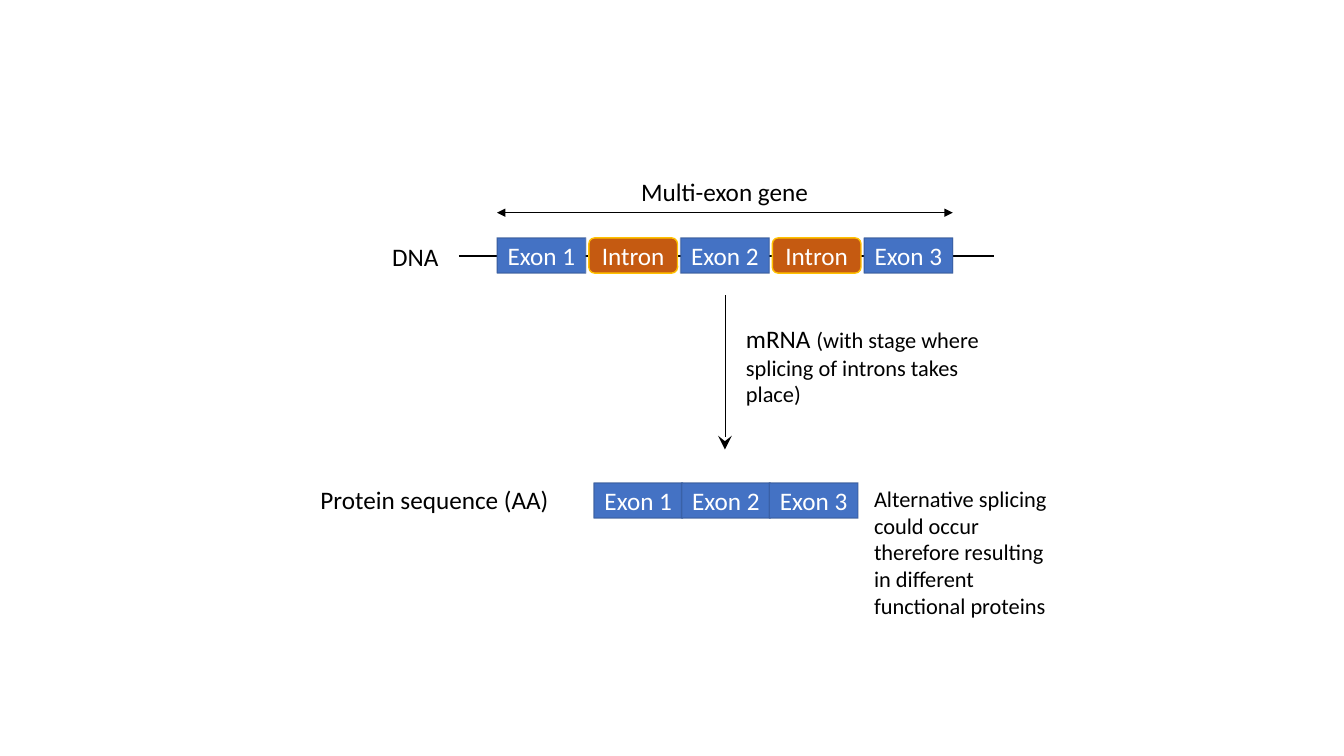
from lxml import etree
from pptx import Presentation
from pptx.dml.color import RGBColor
from pptx.enum import shapes, text
from pptx.oxml import ns
from pptx.util import Inches, Pt

BLACK = RGBColor(0x00, 0x00, 0x00)
WHITE = RGBColor(0xFF, 0xFF, 0xFF)
EXON_FILL = RGBColor(0x44, 0x72, 0xC4)
EXON_LINE = RGBColor(0x32, 0x54, 0x91)
INTRON_FILL = RGBColor(0xC5, 0x5A, 0x11)
INTRON_LINE = RGBColor(0xFF, 0xC0, 0x00)
FONT = "Calibri"
BLOCK_WIDTH, BLOCK_HEIGHT = 0.88, 0.35


def style_font(font, size, color):
    font.name = FONT
    font.size = Pt(size)
    font.color.rgb = color


def add_label(slide, left, top, width, height, runs, wrap=False):
    box = slide.shapes.add_textbox(Inches(left), Inches(top), Inches(width), Inches(height))
    box.text_frame.word_wrap = wrap
    paragraph = box.text_frame.paragraphs[0]
    for wording, size in runs:
        run = paragraph.add_run()
        run.text = wording
        style_font(run.font, size, BLACK)


def add_line(slide, start, end, weight, **arrowheads):
    connector = slide.shapes.add_connector(
        shapes.MSO_CONNECTOR.STRAIGHT, *(Inches(value) for value in start + end))
    connector.line.color.rgb = BLACK
    connector.line.width = Pt(weight)
    outline = connector.line._get_or_add_ln()
    for tag in ("headEnd", "tailEnd"):
        if tag in arrowheads:
            kind, size = arrowheads[tag]
            etree.SubElement(outline, ns.qn(f"a:{tag}"), type=kind, w=size, len=size)
    etree.SubElement(connector._element.spPr, ns.qn("a:effectLst"))


def add_block(slide, left, top, name):
    is_exon = name.startswith("Exon")
    kind = shapes.MSO_SHAPE.RECTANGLE if is_exon else shapes.MSO_SHAPE.ROUNDED_RECTANGLE
    block = slide.shapes.add_shape(
        kind, Inches(left), Inches(top), Inches(BLOCK_WIDTH), Inches(BLOCK_HEIGHT))
    block.shadow.inherit = False
    block.fill.solid()
    block.fill.fore_color.rgb = EXON_FILL if is_exon else INTRON_FILL
    block.line.color.rgb = EXON_LINE if is_exon else INTRON_LINE
    block.line.width = Pt(1)
    if is_exon:
        color = block.line._get_or_add_ln().find(".//" + ns.qn("a:srgbClr"))
        etree.SubElement(color, ns.qn("a:alpha"), val="52000")
    frame = block.text_frame
    frame.margin_left = frame.margin_right = 0
    frame.vertical_anchor = text.MSO_ANCHOR.MIDDLE
    paragraph = frame.paragraphs[0]
    paragraph.text = name
    paragraph.alignment = text.PP_ALIGN.CENTER
    style_font(paragraph.font, 18, WHITE)


def add_block_row(slide, left, top, pitch, names):
    for index, name in enumerate(names):
        add_block(slide, left + index * pitch, top, name)


def add_gene(slide, left, top, width):
    strand = top + 0.84
    add_line(slide, (left - 0.38, strand), (left + width + 0.41, strand), 2)
    names = ("Exon 1", "Intron", "Exon 2", "Intron", "Exon 3")
    pitch = (width - BLOCK_WIDTH) / (len(names) - 1)
    add_block_row(slide, left, top + 0.66, pitch, names)
    triangle = ("triangle", "med")
    add_line(slide, (left, top + 0.41), (left + width, top + 0.41), 1,
             headEnd=triangle, tailEnd=triangle)
    add_label(slide, left + 1.33, top, 1.88, 0.4, [("Multi-exon gene", 18)])
    add_label(slide, left - 1.14, top + 0.64, 0.67, 0.4, [("DNA", 18)])


def add_splicing_step(slide, left, top, height):
    add_line(slide, (left, top), (left, top + height), 0.5, tailEnd=("stealth", "lg"))
    add_label(slide, left + 0.11, top + 0.23, 2.52, 0.94,
              [("mRNA ", 18), ("(with stage where splicing of introns takes place)", 16)],
              wrap=True)


def add_protein(slide, left, top):
    add_block_row(slide, left + 2.81, top + 0.03, 0.87, ("Exon 1", "Exon 2", "Exon 3"))
    add_label(slide, left, top, 2.49, 0.4, [("Protein sequence (AA)", 18)])
    add_label(slide, left + 5.49, top, 2.01, 1.45,
              [("Alternative splicing could occur therefore resulting "
                "in different functional proteins", 16)], wrap=True)


def main():
    presentation = Presentation()
    presentation.slide_width = Inches(13.33)
    presentation.slide_height = Inches(7.5)
    slide = presentation.slides.add_slide(presentation.slide_layouts[6])
    add_gene(slide, 4.93, 1.7, 4.52)
    add_splicing_step(slide, 7.19, 2.93, 1.53)
    add_protein(slide, 3.08, 4.76)
    presentation.save("out.pptx")


if __name__ == "__main__":
    main()
